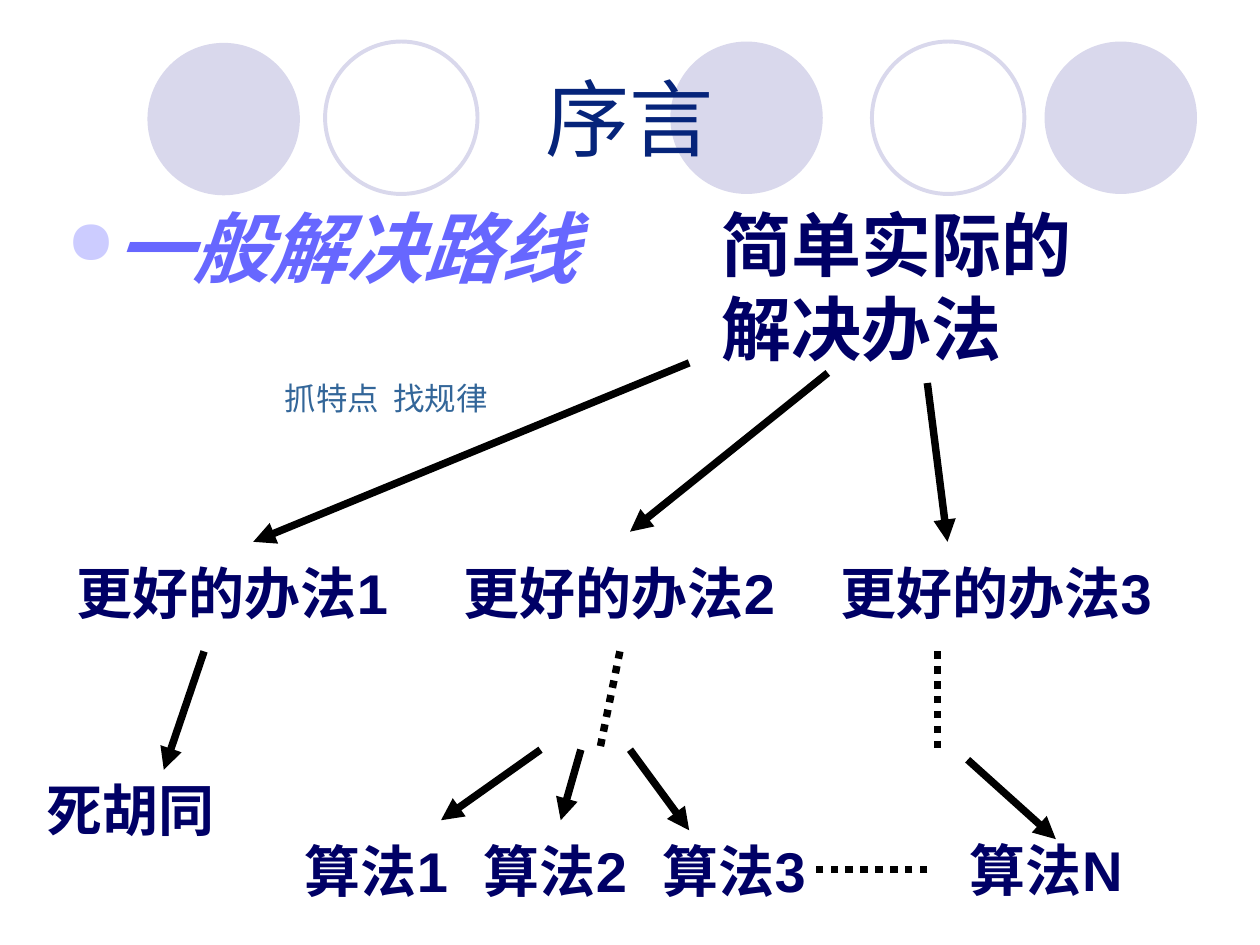
from dataclasses import dataclass

from pptx import Presentation
from pptx import util as u
from pptx.dml.color import RGBColor
from pptx.enum import dml, shapes, text
from pptx.oxml import parse_xml
from pptx.oxml.ns import nsdecls, qn

COLORS = {
    "circle": "D9D8EC",
    "title": "06247A",
    "route": "6767FF",
    "bullet": "CCCCFF",
    "method": "000066",
    "motto": "336699",
    "arrow": "000000",
}
LATIN = "Arial"
CJK = "Noto Sans CJK SC"


@dataclass(frozen=True)
class Circle:
    left: float
    top: float
    filled: bool


@dataclass(frozen=True)
class Label:
    words: str
    left: float
    top: float
    width: float
    height: float = 0.64
    size: int = 32
    before: int = 20
    color: str = "method"
    font: str = LATIN
    bold: bool = True
    italic: bool = False
    wrap: bool = True
    grow: bool = True


@dataclass(frozen=True)
class Link:
    x1: float
    y1: float
    x2: float
    y2: float
    dotted: bool = False


CIRCLES = [
    Circle(5.32, 0.33, True),
    Circle(8.29, 0.33, True),
    Circle(1.17, 0.34, True),
    Circle(6.92, 0.33, False),
    Circle(2.58, 0.33, False),
]
ROUTE = Label("一般解决路线", 0.43, 1.54, 9, 0.9, size=44, before=11,
              color="route", italic=True, grow=False)
SIMPLE = Label("简单实际的解决办法", 5.63, 1.55, 2.99, 1.44, size=40, before=25)
MOTTO = Label("抓特点  找规律", 2.16, 2.96, 5.51, 1.04, size=18, before=0,
              color="motto", font=CJK, bold=False, wrap=False, grow=False)
BETTER = [Label(f"更好的办法{n}", left, 4.38, 2.83)
          for n, left in enumerate((0.51, 3.58, 6.57), 1)]
DEAD_END = Label("死胡同", 0.27, 6.11, 1.65)
ALGORITHMS = [Label(f"算法{n}", 0.9 + 1.42 * n, 6.59, 1.57) for n in (1, 2, 3)]
LAST_ALGORITHM = Label("算法N", 7.6, 6.58, 1.57)

TO_BETTER = [
    Link(5.47, 2.88, 2.01, 4.3),
    Link(6.57, 2.96, 5, 4.22),
    Link(7.36, 3.04, 7.52, 4.3),
]
TO_RESULTS = [
    Link(1.62, 5.17, 1.3, 6.11),
    Link(4.92, 5.17, 4.76, 5.95, dotted=True),
    Link(7.44, 5.17, 7.44, 5.95, dotted=True),
    Link(7.36, 6.9, 6.42, 6.9, dotted=True),
    Link(4.29, 5.95, 3.5, 6.51),
    Link(5, 5.95, 5.47, 6.59),
    Link(4.61, 5.95, 4.45, 6.51),
    Link(7.68, 6.03, 8.38, 6.66),
]


def rgb(role: str) -> RGBColor:
    return RGBColor.from_string(COLORS[role])


def add_run(paragraph, words: str, size: int, color: str, font: str = LATIN,
            bold: bool = False, italic: bool = False) -> None:
    run = paragraph.add_run()
    run.text = words
    run.font.size = u.Pt(size)
    run.font.name = font
    run.font.bold = bold
    run.font.italic = italic
    run.font.color.rgb = rgb(color)
    east_asian = parse_xml(f'<a:ea {nsdecls("a")} typeface="{CJK}"/>')
    run.font._element.find(qn("a:latin")).addnext(east_asian)


def draw_circle(slide, circle: Circle) -> None:
    oval = slide.shapes.add_shape(
        shapes.MSO_SHAPE.OVAL, u.Inches(circle.left), u.Inches(circle.top),
        u.Inches(1.21), u.Inches(1.21))
    oval.shadow.inherit = False
    if circle.filled:
        oval.fill.solid()
        oval.fill.fore_color.rgb = rgb("circle")
        oval.line.fill.background()
    else:
        oval.fill.background()
        oval.line.color.rgb = rgb("circle")
        oval.line.width = u.Pt(2.25)


def draw_label(slide, label: Label):
    box = slide.shapes.add_textbox(
        u.Inches(label.left), u.Inches(label.top),
        u.Inches(label.width), u.Inches(label.height))
    frame = box.text_frame
    frame.word_wrap = label.wrap
    sizing = text.MSO_AUTO_SIZE
    frame.auto_size = sizing.SHAPE_TO_FIT_TEXT if label.grow else sizing.NONE
    paragraph = frame.paragraphs[0]
    paragraph.space_before = u.Pt(label.before)
    add_run(paragraph, label.words, label.size, label.color, label.font,
            label.bold, label.italic)
    return paragraph


def add_bullet(paragraph) -> None:
    properties = paragraph._p.get_or_add_pPr()
    properties.set("marL", str(u.Inches(0.38)))
    properties.set("indent", str(u.Inches(-0.38)))
    for part in (
        f'<a:buClr {nsdecls("a")}><a:srgbClr val="{COLORS["bullet"]}"/></a:buClr>',
        f'<a:buSzPct {nsdecls("a")} val="80000"/>',
        f'<a:buChar {nsdecls("a")} char="●"/>',
    ):
        properties.append(parse_xml(part))


def draw_link(slide, link: Link) -> None:
    connector = slide.shapes.add_connector(
        shapes.MSO_CONNECTOR.STRAIGHT, u.Inches(link.x1), u.Inches(link.y1),
        u.Inches(link.x2), u.Inches(link.y2))
    line = connector.line
    line.color.rgb = rgb("arrow")
    line.width = u.Pt(4.25)
    if link.dotted:
        line.dash_style = dml.MSO_LINE.ROUND_DOT
    else:
        line._get_or_add_ln().append(
            parse_xml(f'<a:tailEnd {nsdecls("a")} type="triangle"/>'))
    connector._element.spPr.append(parse_xml(f'<a:effectLst {nsdecls("a")}/>'))


def format_title(title) -> None:
    title.left, title.top = u.Inches(0.5), u.Inches(0.3)
    title.width, title.height = u.Inches(9), u.Inches(1.25)
    frame = title.text_frame
    frame.auto_size = text.MSO_AUTO_SIZE.NONE
    frame.vertical_anchor = text.MSO_ANCHOR.MIDDLE
    heading = frame.paragraphs[0]
    heading.alignment = text.PP_ALIGN.CENTER
    add_run(heading, "序言", 48, "title")


def main() -> None:
    deck = Presentation()
    deck.slide_width, deck.slide_height = u.Inches(10), u.Inches(7.5)
    slide = deck.slides.add_slide(deck.slide_layouts[5])
    title = slide.shapes.title
    format_title(title)
    for circle in CIRCLES:
        draw_circle(slide, circle)
    slide.shapes._spTree.append(title._element)
    add_bullet(draw_label(slide, ROUTE))
    draw_label(slide, SIMPLE)
    for link in TO_BETTER:
        draw_link(slide, link)
    for label in (MOTTO, *BETTER, DEAD_END, *ALGORITHMS, LAST_ALGORITHM):
        draw_label(slide, label)
    for link in TO_RESULTS:
        draw_link(slide, link)
    deck.save("out.pptx")


if __name__ == "__main__":
    main()
